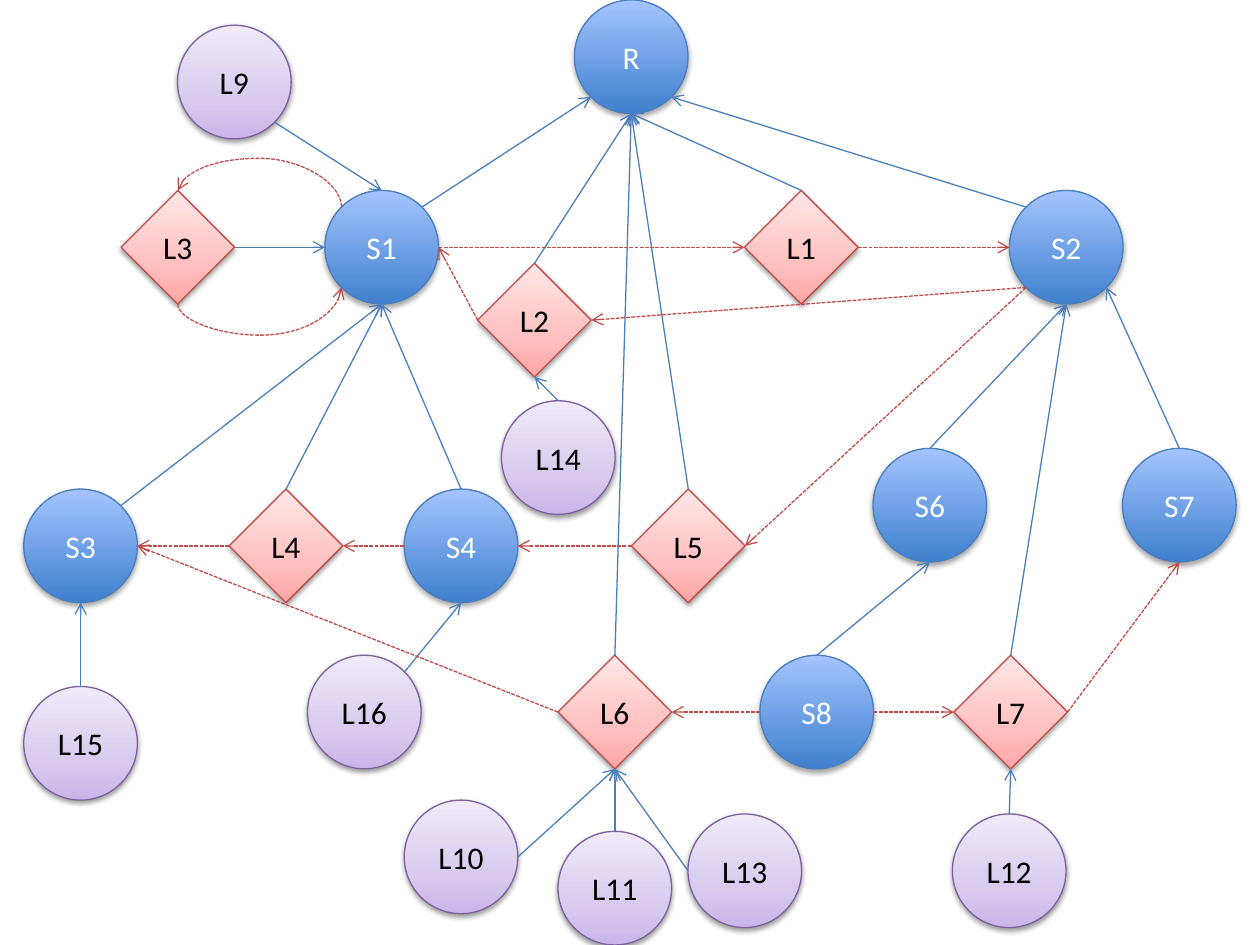
import lxml.etree
import pptx
import pptx.dml.color
import pptx.enum.dml
import pptx.enum.shapes
import pptx.enum.text
import pptx.oxml.ns
import pptx.util

Cm, Pt = pptx.util.Cm, pptx.util.Pt
RGB = pptx.dml.color.RGBColor.from_string
qn = pptx.oxml.ns.qn
SHAPE = pptx.enum.shapes.MSO_SHAPE
CONNECTOR = pptx.enum.shapes.MSO_CONNECTOR

COLORS = {
    "blue line": "4B7EBC", "red line": "BF4C48", "purple line": "7D60A0",
    "blue low": "3F80CE", "blue high": "A4C4FF",
    "red low": "FFA6A5", "red mid": "FFC0BF", "red high": "FFE7E7",
    "purple low": "C9B5E8", "purple mid": "D8CBEE", "purple high": "F0EAF9",
    "white": "FFFFFF", "black": "000000",
}
SIZE = 2.29  # node width and height, cm
DIAGONAL = 0.5 ** 0.5

# Node kinds: outline, colours, gradient stops (percent), shadow (opacity, distance)
KINDS = {
    "switch": dict(outline=SHAPE.OVAL, hue="blue", text="white",
                   stops={0: "low", 100: "high"}, shadow=(35, 1.8)),
    "link": dict(outline=SHAPE.DIAMOND, hue="red", text="black",
                 stops={0: "low", 35: "mid", 100: "high"}, shadow=(38, 1.6)),
    "leaf": dict(outline=SHAPE.OVAL, hue="purple", text="black",
                 stops={0: "low", 35: "mid", 100: "high"}, shadow=(38, 1.6)),
}

# Left and top of each node, cm
NODES = {
    "switch": {"R": (11.58, 0), "S1": (6.55, 3.84), "S2": (20.35, 3.84),
               "S3": (0.48, 9.86), "S4": (8.15, 9.86), "S6": (17.6, 9.04),
               "S7": (22.63, 9.04), "S8": (15.32, 13.21)},
    "link": {"L1": (15.01, 3.84), "L2": (9.63, 5.31), "L3": (2.44, 3.84),
             "L4": (4.62, 9.86), "L5": (12.73, 9.86), "L6": (11.25, 13.21),
             "L7": (19.23, 13.21)},
    "leaf": {"L9": (3.58, 0.51), "L10": (8.15, 16.13), "L11": (11.25, 16.76),
             "L12": (19.2, 16.41), "L13": (13.87, 16.41), "L14": (10.11, 8.08),
             "L15": (0.48, 13.84), "L16": (6.2, 13.21)},
}

# Direction of each side from a node's centre; the order gives the oval's sites
SIDES = {
    "top": (0, -1), "top left": (-DIAGONAL, -DIAGONAL),
    "left": (-1, 0), "bottom left": (-DIAGONAL, DIAGONAL),
    "bottom": (0, 1), "bottom right": (DIAGONAL, DIAGONAL),
    "right": (1, 0), "top right": (DIAGONAL, -DIAGONAL),
}
OVAL_SITES = list(SIDES)
DIAMOND_SITES = ["top", "left", "bottom", "right"]

# Arrows: from node, side, to node, side
TREE_ARROWS = [
    ("S2", "top left", "R", "bottom right"), ("L1", "top", "R", "bottom"),
    ("S1", "top right", "R", "bottom left"), ("S8", "top", "S6", "bottom"),
    ("L7", "top", "S2", "bottom"), ("L6", "top", "R", "bottom"),
    ("S4", "top", "S1", "bottom"), ("L3", "right", "S1", "left"),
    ("S6", "top", "S2", "bottom"), ("S7", "top", "S2", "bottom right"),
    ("S3", "top right", "S1", "bottom"), ("L2", "top", "R", "bottom"),
    ("L5", "top", "R", "bottom"), ("L4", "top", "S1", "bottom"),
    ("L9", "bottom right", "S1", "top"), ("L10", "right", "L6", "bottom"),
    ("L13", "left", "L6", "bottom"), ("L11", "top", "L6", "bottom"),
    ("L12", "top", "L7", "bottom"), ("L14", "top", "L2", "bottom"),
    ("L15", "top", "S3", "bottom"), ("L16", "top right", "S4", "bottom"),
]
RING_ARROWS = [
    ("L1", "right", "S2", "left"), ("S1", "right", "L1", "left"),
    ("L6", "left", "S3", "right"), ("S8", "left", "L6", "right"),
    ("S2", "bottom left", "L2", "right"), ("L2", "left", "S1", "right"),
    ("S2", "bottom left", "L5", "right"), ("L5", "left", "S4", "right"),
    ("L7", "right", "S7", "bottom"), ("S8", "right", "L7", "left"),
    ("L4", "left", "S3", "right"), ("S4", "left", "L4", "right"),
]
# Curved arrows: ends, rotation in degrees, bend in thousandths
LOOP_ARROWS = [
    (("S1", "top left", "L3", "top"), 270, 2935),
    (("L3", "bottom", "S1", "bottom left"), 90, -1872),
]


def add_xml(parent, tag, **attributes):
    child = lxml.etree.SubElement(parent, qn(tag))
    for key, value in attributes.items():
        child.set(key, str(value))
    return child


def apply(target, formats):
    for key, value in formats.items():
        setattr(target, key, value)


def draw_node(slide, kind, label, left, top):
    look = KINDS[kind]
    node = slide.shapes.add_shape(look["outline"], Cm(left), Cm(top), Cm(SIZE), Cm(SIZE))
    node.line.color.rgb = RGB(COLORS[look["hue"] + " line"])
    node.line.width = Pt(0.75)

    # Gradient, darkest at the bottom
    node.fill.gradient()
    node.fill.gradient_angle = 90
    stops = node._element.spPr.find(".//" + qn("a:gsLst"))
    stops.clear()
    for percent, tone in look["stops"].items():
        stop = add_xml(stops, "a:gs", pos=percent * 1000)
        add_xml(stop, "a:srgbClr", val=COLORS[look["hue"] + " " + tone])

    # Shadow below the node
    opacity, distance = look["shadow"]
    node.shadow.inherit = False
    effects = node._element.spPr.find(qn("a:effectLst"))
    shadow = add_xml(effects, "a:outerShdw", blurRad=Pt(3.1), dist=Pt(distance),
                     dir=90 * 60000, rotWithShape=0)
    add_xml(add_xml(shadow, "a:srgbClr", val=COLORS["black"]), "a:alpha", val=opacity * 1000)

    # Label
    apply(node.text_frame, dict(text=label, word_wrap=True,
                                vertical_anchor=pptx.enum.text.MSO_ANCHOR.MIDDLE))
    paragraph = node.text_frame.paragraphs[0]
    paragraph.alignment = pptx.enum.text.PP_ALIGN.CENTER
    apply(paragraph.runs[0].font, dict(name="Calibri", size=Pt(18)))
    paragraph.runs[0].font.color.rgb = RGB(COLORS[look["text"]])
    return node


def side_point(node, side):
    across, down = SIDES[side]
    return (node.left + node.width / 2 * (1 + across),
            node.top + node.height / 2 * (1 + down))


def add_arrow(slide, route, begin, end, hue, dashed):
    arrow = slide.shapes.add_connector(route, *(int(value) for value in (*begin, *end)))
    arrow.line.color.rgb = RGB(COLORS[hue + " line"])
    arrow.line.width = Pt(0.75)
    if dashed:
        arrow.line.dash_style = pptx.enum.dml.MSO_LINE.SQUARE_DOT
    properties = arrow._element.spPr
    add_xml(properties.find(qn("a:ln")), "a:tailEnd", type="arrow")
    add_xml(properties, "a:effectLst")
    return arrow


def draw_straight(slide, nodes, ends, hue, dashed):
    start, start_side, goal, goal_side = ends
    arrow = add_arrow(slide, CONNECTOR.STRAIGHT, side_point(nodes[start], start_side),
                      side_point(nodes[goal], goal_side), hue, dashed)
    # Attach both ends to their nodes
    glue = arrow._element.find(".//" + qn("p:cNvCxnSpPr"))
    for tag, name, side in (("a:stCxn", start, start_side), ("a:endCxn", goal, goal_side)):
        is_oval = nodes[name].auto_shape_type == SHAPE.OVAL
        sites = OVAL_SITES if is_oval else DIAMOND_SITES
        add_xml(glue, tag, id=nodes[name].shape_id, idx=sites.index(side))


def draw_loop(slide, nodes, ends, rotation, bend):
    start, start_side, goal, goal_side = ends
    (x1, y1), (x2, y2) = side_point(nodes[start], start_side), side_point(nodes[goal], goal_side)
    middle_x, middle_y = (x1 + x2) / 2, (y1 + y2) / 2
    # Turn the ends back by the rotation that the arrow then receives
    turn = 1 if rotation == 90 else -1
    shift_x, shift_y = turn * (y1 - middle_y), turn * (middle_x - x1)
    arrow = add_arrow(slide, CONNECTOR.CURVE, (middle_x + shift_x, middle_y + shift_y),
                      (middle_x - shift_x, middle_y - shift_y), "red", True)
    properties = arrow._element.spPr
    properties.find(qn("a:xfrm")).set("rot", str(rotation * 60000))
    adjustments = properties.find(".//" + qn("a:avLst"))
    add_xml(adjustments, "a:gd", name="adj1", fmla=f"val {bend * 100}")


def draw_network(slide, left, top):
    nodes = {label: draw_node(slide, kind, label, left + x, top + y)
             for kind, places in NODES.items() for label, (x, y) in places.items()}
    for ends in TREE_ARROWS:
        draw_straight(slide, nodes, ends, "blue", False)
    for ends in RING_ARROWS:
        draw_straight(slide, nodes, ends, "red", True)
    for ends, rotation, bend in LOOP_ARROWS:
        draw_loop(slide, nodes, ends, rotation, bend)


deck = pptx.Presentation()
apply(deck, dict(slide_width=Cm(25.4), slide_height=Cm(19.05)))
network_slide = deck.slides.add_slide(deck.slide_layouts[6])
draw_network(network_slide, 0, 0)
deck.save("out.pptx")
